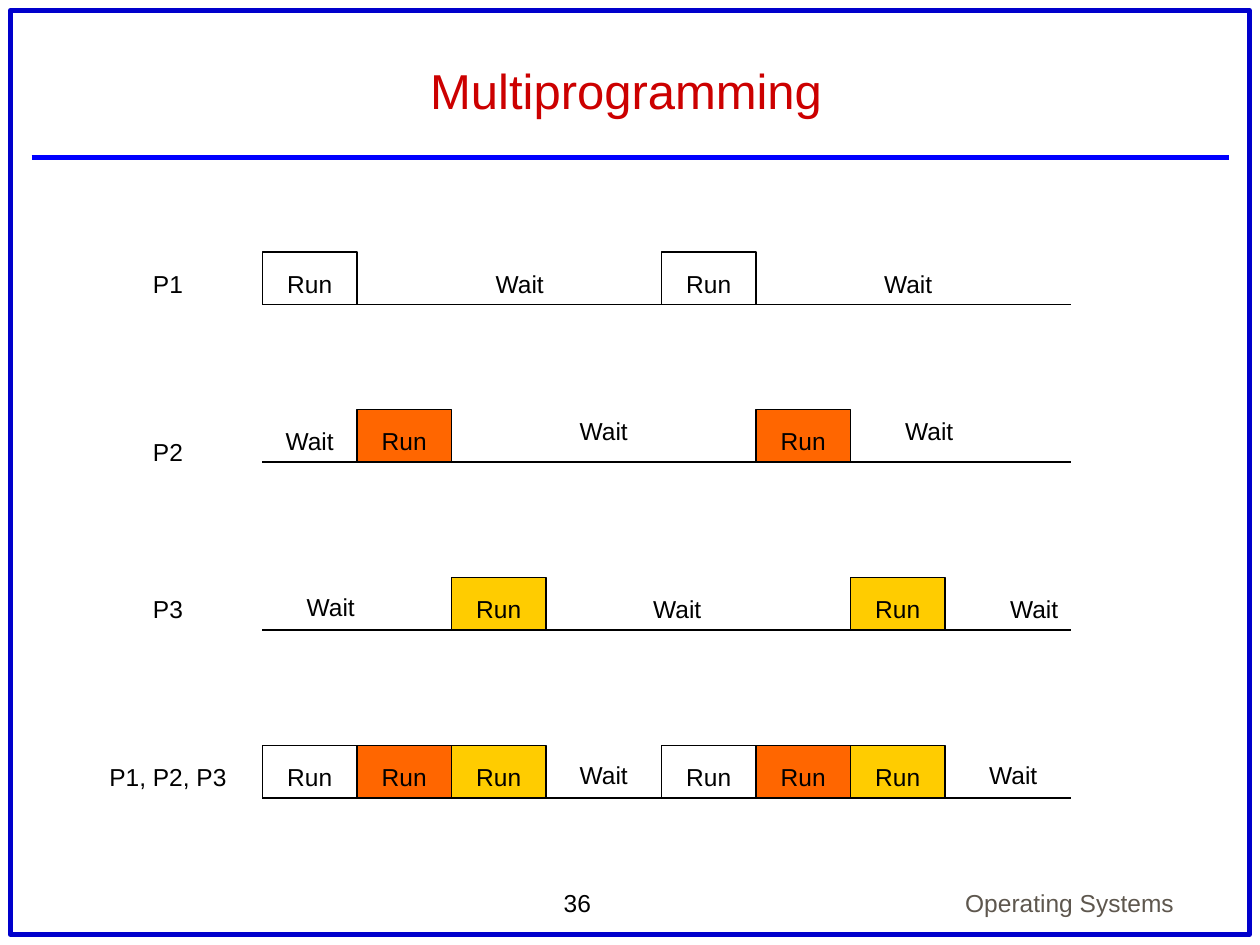
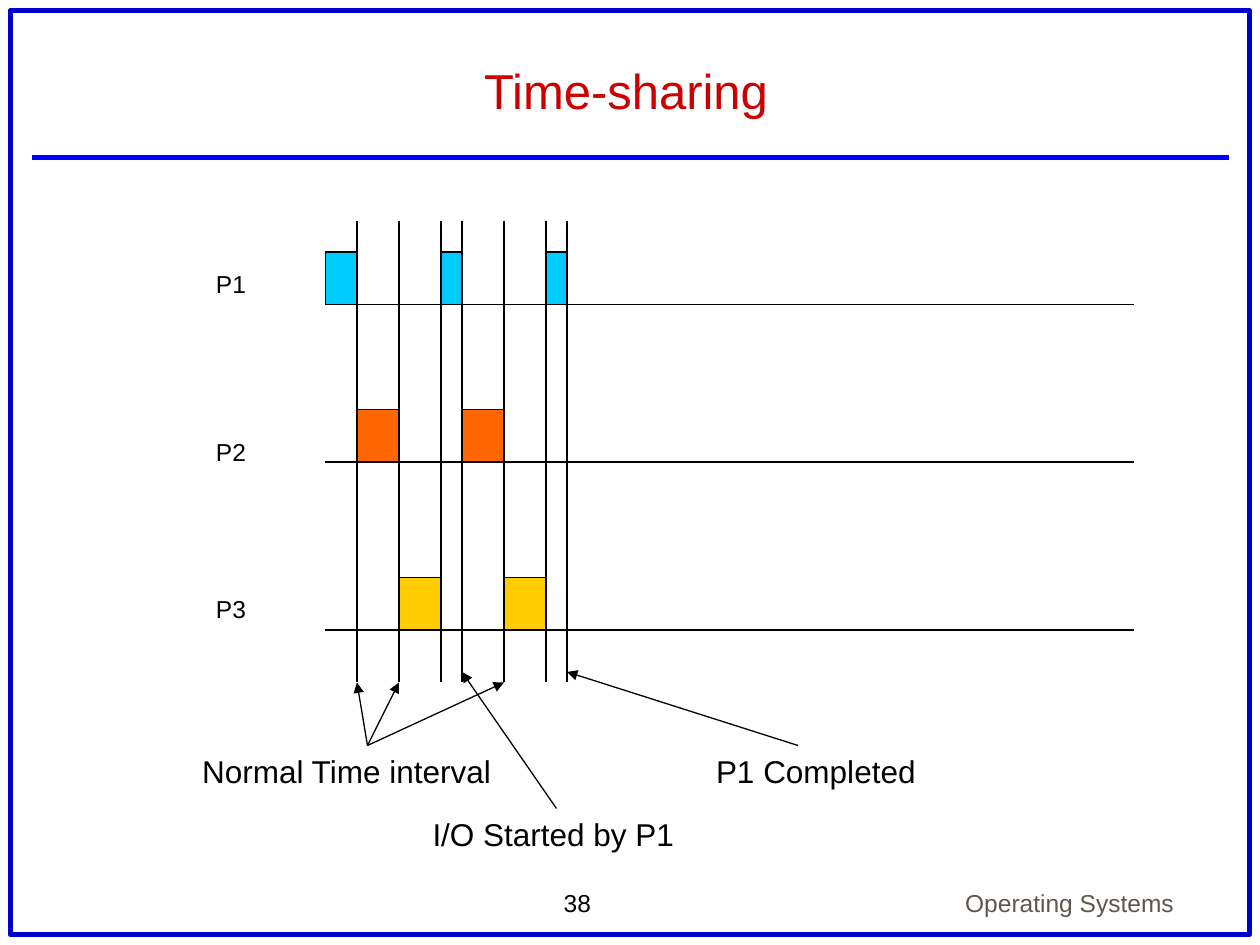
from collections import namedtuple
from dataclasses import dataclass

from lxml import etree
from pptx import Presentation
from pptx import util as u
from pptx.dml.color import RGBColor
from pptx.enum import shapes, text
from pptx.oxml.ns import qn


@dataclass(frozen=True)
class Theme:
    font: str = "Arial"
    title_size: int = 28
    note_size: int = 18
    label_size: int = 14
    title: str = "CC0000"
    border: str = "0000CC"
    rule: str = "0000FF"
    footer: str = "5E574E"
    ink: str = "000000"
    cyan: str = "00CCFF"
    orange: str = "FF6600"
    yellow: str = "FFCC00"
    thick: float = 3
    medium: float = 1
    thin: float = 0.75


THEME = Theme()
Box = namedtuple("Box", "left top width height")
# A process row: bars and waits are offsets from the start of its time axis
Row = namedtuple("Row", "name baseline label_rise bars waits")
Bar = namedtuple("Bar", "start width color")

BAR_HEIGHT = 5
RUN_WIDTH = 9
LABEL_HEIGHT = 4
AXIS_LENGTH = 77


def grid(steps):
    """All parts sit on a grid of twelve steps to the inch."""
    return round(u.Cm(2.54) * steps / 12)


def color(value):
    return RGBColor.from_string(value)


# ---- Basic parts ----
def write(shape, words, size, ink=THEME.ink, align=text.PP_ALIGN.CENTER,
          anchor=text.MSO_ANCHOR.TOP, side=0.0, top=0.13):
    frame = shape.text_frame
    frame.word_wrap = True
    frame.auto_size = text.MSO_AUTO_SIZE.NONE
    frame.vertical_anchor = anchor
    frame.margin_left = frame.margin_right = u.Cm(side)
    frame.margin_top, frame.margin_bottom = u.Cm(top), u.Cm(0.13)
    paragraph = frame.paragraphs[0]
    paragraph.text = words
    paragraph.alignment = align
    paragraph.space_before = u.Pt(0)
    paragraph.font.name = THEME.font
    paragraph.font.size = u.Pt(size)
    paragraph.font.color.rgb = color(ink)


def add_label(slide, box, words, size=THEME.label_size, **style):
    shape = slide.shapes.add_textbox(*map(grid, box))
    write(shape, words, size, **style)


def add_box(slide, box, fill=None, line=THEME.ink, width=THEME.medium):
    shape = slide.shapes.add_shape(shapes.MSO_SHAPE.RECTANGLE, *map(grid, box))
    shape.shadow.inherit = False
    if fill:
        shape.fill.solid()
        shape.fill.fore_color.rgb = color(fill)
    else:
        shape.fill.background()
    shape.line.color.rgb = color(line)
    shape.line.width = u.Pt(width)
    return shape


def add_line(slide, start, end, ink=THEME.ink, width=THEME.thin, arrow=False):
    line = slide.shapes.add_connector(
        shapes.MSO_CONNECTOR.STRAIGHT, *map(grid, (*start, *end)))
    line.line.color.rgb = color(ink)
    line.line.width = u.Pt(width)
    properties = line._element.spPr
    if arrow:
        etree.SubElement(properties.find(qn("a:ln")), qn("a:tailEnd"), type="triangle")
    etree.SubElement(properties, qn("a:effectLst"))


# ---- Frame shared by the slides ----
def add_framed_slide(presentation, title, number):
    slide = presentation.slides.add_slide(presentation.slide_layouts[5])
    add_box(slide, Box(1, 1, 118, 88), line=THEME.border, width=THEME.thick)
    add_line(slide, (3, 15), (117, 15), THEME.rule, THEME.thick)

    heading = slide.shapes.title
    heading.left, heading.top = u.Cm(1.11), u.Cm(0.64)
    heading.width, heading.height = u.Cm(23.02), u.Cm(1.9)
    write(heading, title, THEME.title_size, THEME.title,
          anchor=text.MSO_ANCHOR.BOTTOM, side=0.25)

    add_label(slide, Box(52.5, 84, 13, 4), number,
              align=text.PP_ALIGN.LEFT, side=0.25)
    add_label(slide, Box(80, 82, 33, 6), "Operating Systems", ink=THEME.footer,
              align=text.PP_ALIGN.RIGHT, anchor=text.MSO_ANCHOR.BOTTOM, side=0.25)
    return slide


# ---- One process: name, bars, waiting periods and time axis ----
def add_process(slide, left, row, bar_text=""):
    base = row.baseline
    add_label(slide, Box(left - 16, base - row.label_rise, 14, LABEL_HEIGHT), row.name)
    for bar in row.bars:
        shape = add_box(slide, Box(left + bar.start, base - BAR_HEIGHT,
                                   bar.width, BAR_HEIGHT), bar.color)
        if bar_text:
            write(shape, bar_text, THEME.label_size, top=0.34)
    for start, rise in row.waits:
        add_label(slide, Box(left + start, base - rise, 7, LABEL_HEIGHT), "Wait")
    add_line(slide, (left, base), (left + AXIS_LENGTH, base), width=THEME.medium)


# ---- Multiprogramming ----
def runs(first, fill):
    """Each process runs twice, one cycle apart."""
    return [Bar(first + cycle, RUN_WIDTH, fill) for cycle in (0, 38)]


def build_multiprogramming(presentation):
    slide = add_framed_slide(presentation, "Multiprogramming", "36")
    p1, p2, p3 = (runs(place * RUN_WIDTH, fill) for place, fill in
                  enumerate((None, THEME.orange, THEME.yellow)))
    rows = [
        Row("P1", 29, 4, p1, [(21, 4), (58, 4)]),
        Row("P2", 44, 3, p2, [(1, 4), (29, 5), (60, 5)]),
        Row("P3", 60, 4, p3, [(3, 4.2), (36, 4), (70, 4)]),
        Row("P1, P2, P3", 76, 4, p1 + p2 + p3, [(29, 4.2), (68, 4.2)]),
    ]
    for row in rows:
        add_process(slide, 25, row, "Run")


# ---- Time-sharing ----
def build_time_sharing(presentation):
    slide = add_framed_slide(presentation, "Time-sharing", "38")
    left, tick_top, tick_bottom = 31, 21, 65
    rows = [
        Row("P1", 29, 4, [Bar(0, 3, THEME.cyan), Bar(11, 2, THEME.cyan),
                          Bar(21, 2, THEME.cyan)], []),
        Row("P2", 44, 3, [Bar(start, 4, THEME.orange) for start in (3, 13)], []),
        Row("P3", 60, 4, [Bar(start, 4, THEME.yellow) for start in (7, 17)], []),
    ]
    for row in rows:
        add_process(slide, left, row)

    # A tick wherever a time slice ends
    for end in sorted({bar.start + bar.width for row in rows for bar in row.bars}):
        add_line(slide, (left + end, tick_top), (left + end, tick_bottom))

    # Notes with arrows to the ticks they explain
    notes = [
        ("Normal Time interval", Box(14, 71, 38, 5), 35, (3, 7, 17), tick_bottom),
        ("I/O Started by P1", Box(40, 77, 25.4, 5), 53, (13,), tick_bottom - 1),
        ("P1 Completed", Box(67, 71, 21.4, 5), 76, (23,), tick_bottom - 1),
    ]
    for words, box, arrow_start, ends, arrow_end in notes:
        add_label(slide, box, words, THEME.note_size)
        for end in ends:
            add_line(slide, (arrow_start, box.top), (left + end, arrow_end), arrow=True)


def main():
    presentation = Presentation()
    presentation.slide_width, presentation.slide_height = u.Cm(25.4), u.Cm(19.05)
    build_multiprogramming(presentation)
    build_time_sharing(presentation)
    presentation.save("out.pptx")


if __name__ == "__main__":
    main()
